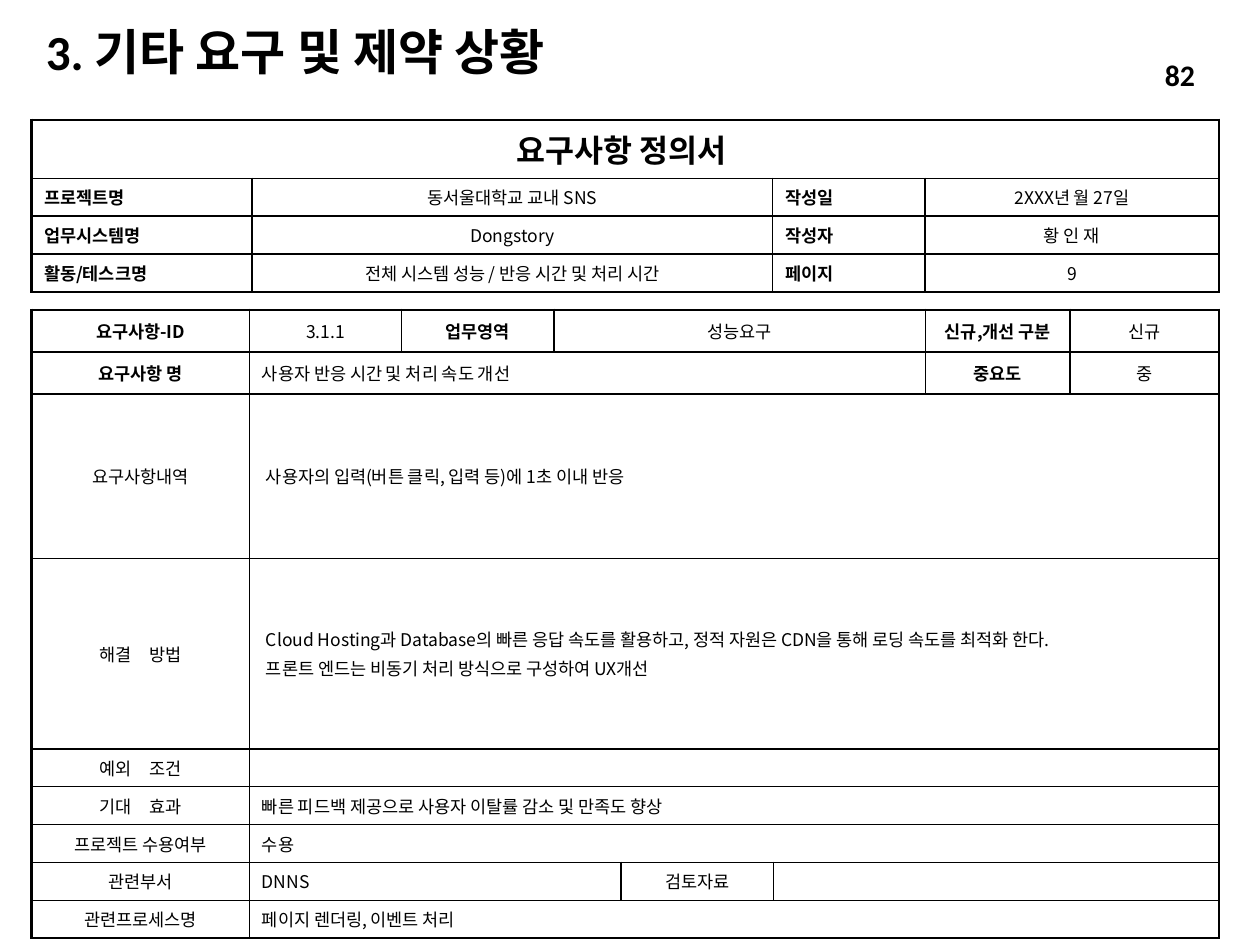
from lxml import etree
from pptx import Presentation
from pptx.dml.color import RGBColor
from pptx.enum.text import MSO_ANCHOR, MSO_AUTO_SIZE, PP_ALIGN
from pptx.oxml.ns import qn
from pptx.util import Pt

BLACK = RGBColor(0, 0, 0)
LEFT, CENTER, RIGHT, JUSTIFY = PP_ALIGN.LEFT, PP_ALIGN.CENTER, PP_ALIGN.RIGHT, PP_ALIGN.JUSTIFY
TOP, MIDDLE = MSO_ANCHOR.TOP, MSO_ANCHOR.MIDDLE
NO_AUTOFIT = MSO_AUTO_SIZE.NONE
HEADING_FONT = "Calibri"
FORM_FONT = "Noto Sans CJK KR"
PLAIN_STYLE = "{2D5ABB26-0587-4C30-8999-92F81FD0307C}"
OUTER, INNER = 1.5, 1


class Form:
    def __init__(self, slide):
        self.slide = slide

    def add_run(self, paragraph, text, size, font, bold):
        run = paragraph.add_run()
        run.text = text
        run.font.size = Pt(size)
        run.font.name = font
        run.font.bold = bold
        run.font.color.rgb = BLACK
        east_asian = etree.Element(qn("a:ea"), typeface=FORM_FONT)
        run.font._element.find(qn("a:latin")).addnext(east_asian)

    def heading(self, box, text, size, left, top, width, height, align):
        box.left, box.top, box.width, box.height = Pt(left), Pt(top), Pt(width), Pt(height)
        frame = box.text_frame
        frame.word_wrap = True
        frame.auto_size = NO_AUTOFIT
        frame.vertical_anchor = MIDDLE
        paragraph = frame.paragraphs[0]
        paragraph.alignment = align
        paragraph.line_spacing = 0.9
        self.add_run(paragraph, text, size, HEADING_FONT, True)

    def title(self, text, *place):
        self.heading(self.slide.shapes.title, text, 28, *place, LEFT)

    def page_number(self, text, *place):
        box = self.slide.shapes.add_textbox(0, 0, 0, 0)
        self.heading(box, text, 17, *place, RIGHT)

    def border(self, cell, **widths):
        properties = cell._tc.get_or_add_tcPr()
        for position, (side, width) in enumerate(widths.items()):
            line = etree.Element(qn("a:" + side), w=str(Pt(width)))
            fill = etree.SubElement(line, qn("a:solidFill"))
            etree.SubElement(fill, qn("a:srgbClr"), val=str(BLACK))
            properties.insert(position, line)

    def fill_cell(self, cell, text, align, bold, size, anchor, indent):
        cell.vertical_anchor = anchor
        cell.margin_left = Pt(7.2 + indent)
        frame = cell.text_frame
        for index, line in enumerate(text.split("\n")):
            paragraph = frame.add_paragraph() if index else frame.paragraphs[0]
            paragraph.alignment = align
            if index:
                paragraph.space_before = Pt(2)
            if line:
                self.add_run(paragraph, line, size, FORM_FONT, bold)
            else:
                etree.SubElement(paragraph._p, qn("a:endParaRPr"), sz=str(size * 100))

    def table(self, left, top, widths, heights, rows, anchor, heavy_rules=()):
        frame = self.slide.shapes.add_table(
            len(heights), len(widths), Pt(left), Pt(top), Pt(sum(widths)), Pt(sum(heights)))
        grid = frame.table
        grid.first_row = grid.horz_banding = False
        grid._tbl.tblPr.find(qn("a:tableStyleId")).text = PLAIN_STYLE
        for column, width in zip(grid.columns, widths):
            column.width = Pt(width)
        for row, height in zip(grid.rows, heights):
            row.height = Pt(height)
        heavy = {0, len(heights), *heavy_rules}
        for r, entries in enumerate(rows):
            start = 0
            for text, span, align, bold, size, indent in entries:
                end = start + span
                if span > 1:
                    grid.cell(r, start).merge(grid.cell(r, end - 1))
                for c in range(start, end):
                    cell = grid.cell(r, c)
                    cell.fill.background()
                    sides = {}
                    if c == start:
                        sides["lnL"] = INNER if start else OUTER
                    if c in (start, end - 1):
                        sides["lnR"] = OUTER if end == len(widths) else INNER
                    sides["lnT"] = OUTER if r in heavy else INNER
                    sides["lnB"] = OUTER if r + 1 in heavy else INNER
                    self.border(cell, **sides)
                self.fill_cell(grid.cell(r, start), text, align, bold, size,
                               anchor if size == 10 else MIDDLE, indent)
                start = end


def entry(text, span=1, align=CENTER, bold=False, size=10, indent=0):
    return text, span, align, bold, size, indent


def label(text, align=CENTER):
    return entry(text, align=align, bold=True)


def main():
    deck = Presentation()
    deck.slide_width, deck.slide_height = Pt(720), Pt(540)
    form = Form(deck.slides.add_slide(deck.slide_layouts[5]))
    form.title("3. 기타 요구 및 제약 상황", 19, 15, 386, 32)

    requirement_rows = [
        [label("요구사항-ID"), entry("3.1.1"), label("업무영역"), entry("성능요구", 3),
         label("신규,개선 구분"), entry("신규")],
        [label("요구사항 명"), entry("사용자 반응 시간 및 처리 속도 개선", 5, LEFT),
         label("중요도"), entry("중")],
    ]
    details = [
        ("요구사항내역", "사용자의 입력(버튼 클릭, 입력 등)에 1초 이내 반응", 2.3),
        ("해결　방법", "Cloud Hosting과 Database의 빠른 응답 속도를 활용하고, "
         "정적 자원은 CDN을 통해 로딩 속도를 최적화 한다.\n"
         "프론트 엔드는 비동기 처리 방식으로 구성하여 UX개선", 2.3),
        ("예외　조건", "", 0),
        ("기대　효과", "빠른 피드백 제공으로 사용자 이탈률 감소 및 만족도 향상", 0),
        ("프로젝트 수용여부", "수용", 0),
    ]
    for name, text, indent in details:
        requirement_rows.append([entry(name), entry(text, 7, LEFT, indent=indent)])
    requirement_rows += [
        [entry("관련부서"), entry("DNNS", 3, LEFT), entry("검토자료"), entry("", 3, LEFT)],
        [entry("관련프로세스명"), entry("페이지 렌더링, 이벤트 처리", 7, LEFT)],
    ]
    form.table(18, 177, [124.5, 87, 87, 38.5, 87, 87, 82.5, 85],
               [24, 24, 94.3, 108.7] + [19.5] * 5, requirement_rows, MIDDLE, (1, 2))

    summary = [
        ("프로젝트명", "동서울대학교 교내 SNS", "작성일", "2XXX년 월 27일"),
        ("업무시스템명", "Dongstory", "작성자", "황 인 재"),
        ("활동/테스크명", "전체 시스템 성능 / 반응 시간 및 처리 시간", "페이지", "9"),
    ]
    summary_rows = [[entry("요구사항 정의서 ", 4, bold=True, size=18)]]
    for name, value, second_name, second_value in summary:
        summary_rows.append([label(name, JUSTIFY), entry(value),
                             label(second_name, JUSTIFY), entry(second_value)])
    form.table(18, 68.4, [126, 297.5, 87, 168], [33.5] + [19.5] * 3, summary_rows, TOP)

    form.page_number("82", 573, 29.5, 117, 29)
    deck.save("out.pptx")


if __name__ == "__main__":
    main()
